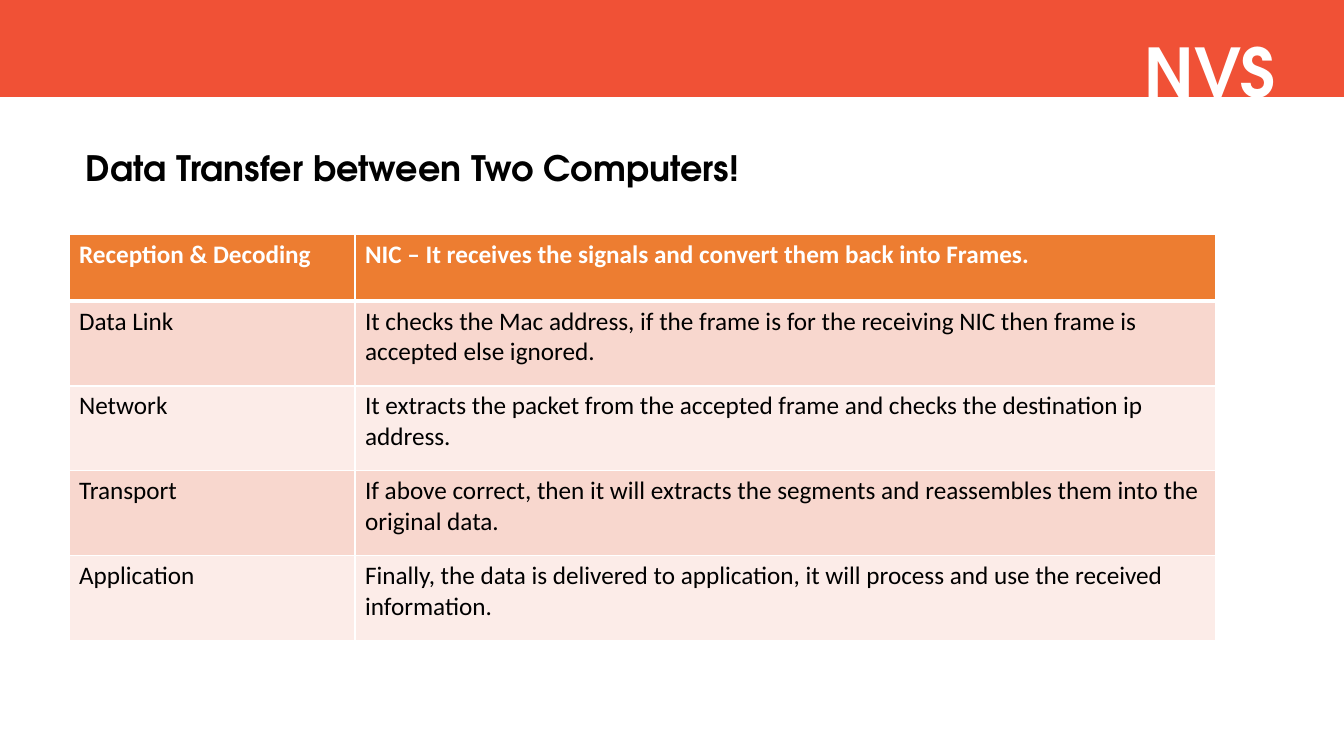
from lxml.etree import SubElement
from pptx import Presentation
from pptx.dml.color import RGBColor
from pptx.enum.shapes import MSO_SHAPE
from pptx.enum.text import PP_ALIGN
from pptx.oxml.ns import qn
from pptx.util import Pt

SCALE = 914400 / 100.8
WHITE = "FFFFFF"
BLACK = "000000"
HEAD = "TeX Gyre Adventor"
BODY = "Calibri"
BANDS = ("FCECE8", "F8D7CE")
ROWS = (
    ("Reception & Decoding",
     "NIC – It receives the signals and convert them back into Frames."),
    ("Data Link",
     "It checks the Mac address, if the frame is for the receiving NIC "
     "then frame is accepted else ignored."),
    ("Network",
     "It extracts the packet from the accepted frame and checks the "
     "destination ip address."),
    ("Transport",
     "If above correct, then it will extracts the segments and reassembles "
     "them into the original data."),
    ("Application",
     "Finally, the data is delivered to application, it will process and "
     "use the received information."),
)


def px(count):
    """Turn pixels into EMU."""
    return round(count * SCALE)


def paint(fill, color):
    """Give a fill one solid colour."""
    fill.solid()
    fill.fore_color.rgb = RGBColor.from_string(color)


def write(para, text, size, font, color, bold):
    """Add one styled run to a paragraph."""
    run = para.add_run()
    run.text = text
    run.font.size = Pt(size)
    run.font.name = font
    run.font.bold = bold
    run.font.color.rgb = RGBColor.from_string(color)


def add_title(slide, box, text, size, color, align, space):
    """Add a bold one-line text box."""
    frame = slide.shapes.add_textbox(*map(px, box)).text_frame
    frame.word_wrap = True
    para = frame.paragraphs[0]
    para.alignment = align
    para.line_spacing = space
    write(para, text, size, HEAD, color, True)


def add_band(slide, box, color):
    """Add a plain filled rectangle."""
    band = slide.shapes.add_shape(MSO_SHAPE.RECTANGLE, *map(px, box))
    band.shadow.inherit = False
    paint(band.fill, color)
    band.line.fill.background()


def add_edge(cell, side, width):
    """Draw one white border of a cell."""
    props = cell._tc.get_or_add_tcPr()
    line = SubElement(props, qn(f"a:ln{side}"), w=str(Pt(width)))
    fill = SubElement(line, qn("a:solidFill"))
    SubElement(fill, qn("a:srgbClr"), val=WHITE)


def fill_cell(cell, text, row):
    """Style a cell by its row and write its text."""
    head = row == 0
    thick = {(0, "B"), (1, "T")}
    for side in "LRTB":
        add_edge(cell, side, 3 if (row, side) in thick else 1)
    paint(cell.fill, "ED7D31" if head else BANDS[row % 2])
    color = WHITE if head else BLACK
    write(cell.text_frame.paragraphs[0], text, 18, BODY, color, head)


def add_grid(slide, left, top, widths, heights):
    """Add the table of layers."""
    box = (left, top, sum(widths), sum(heights))
    frame = slide.shapes.add_table(len(heights), len(widths), *map(px, box))
    table = frame.table
    table.first_row = table.horz_banding = False
    for col, width in zip(table.columns, widths):
        col.width = px(width)
    for row, height in zip(table.rows, heights):
        row.height = px(height)
    for row, texts in enumerate(ROWS):
        for col, text in enumerate(texts):
            fill_cell(table.cell(row, col), text, row)


def main():
    """Build and save the slide."""
    deck = Presentation()
    deck.slide_width, deck.slide_height = px(1344), px(756)
    slide = deck.slides.add_slide(deck.slide_layouts[6])
    add_title(slide, (76, 121, 1226, 430),
              "Data Transfer between Two Computers!", 25, BLACK,
              PP_ALIGN.LEFT, 1.5)
    add_band(slide, (0, 0, 1344, 97), "F05136")
    add_title(slide, (428, 25, 857, 92), "NVS", 48, WHITE,
              PP_ALIGN.RIGHT, 1.0)
    add_grid(slide, 69, 234, (286, 861), (67,) + (85,) * 4)
    deck.save("out.pptx")


if __name__ == "__main__":
    main()
